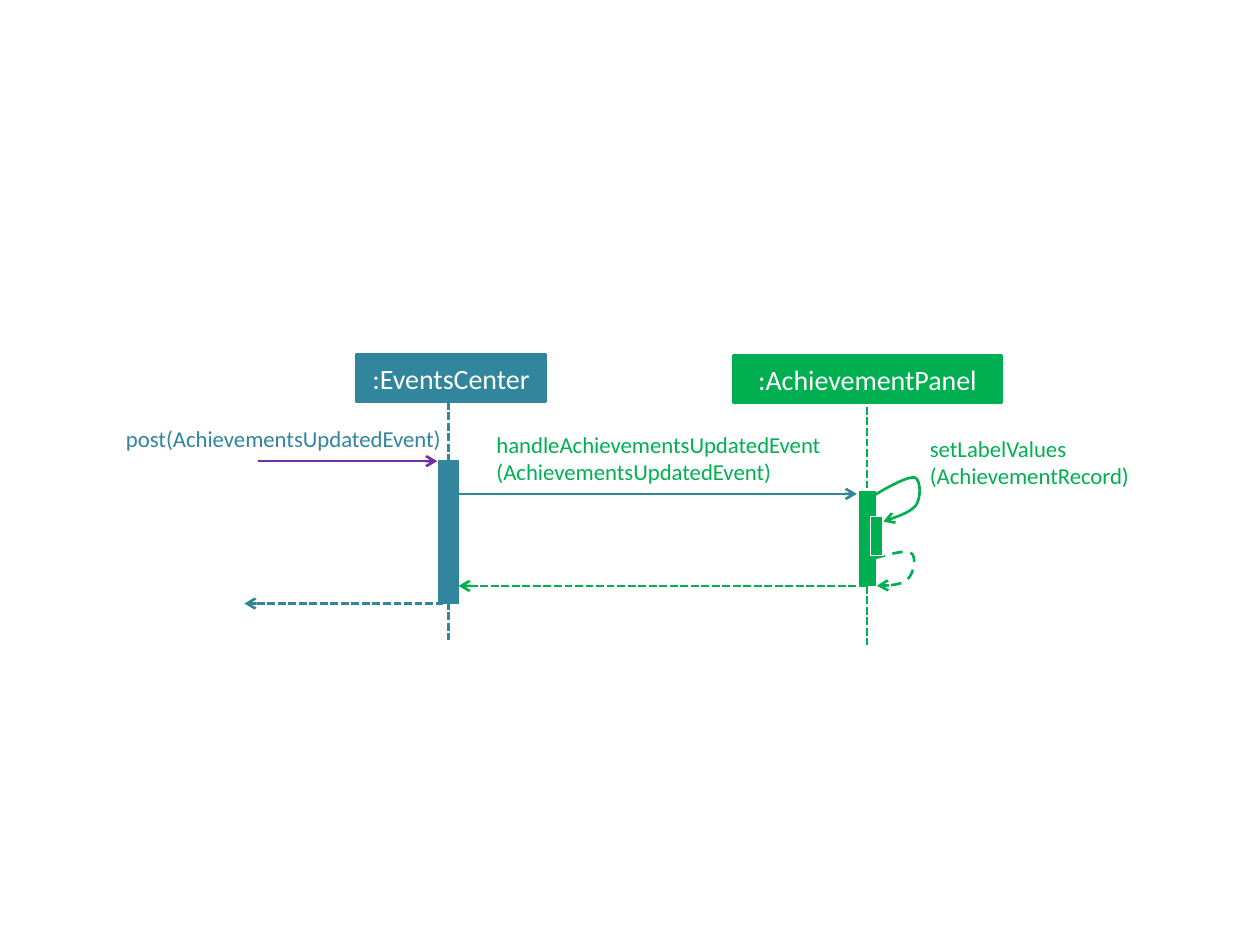
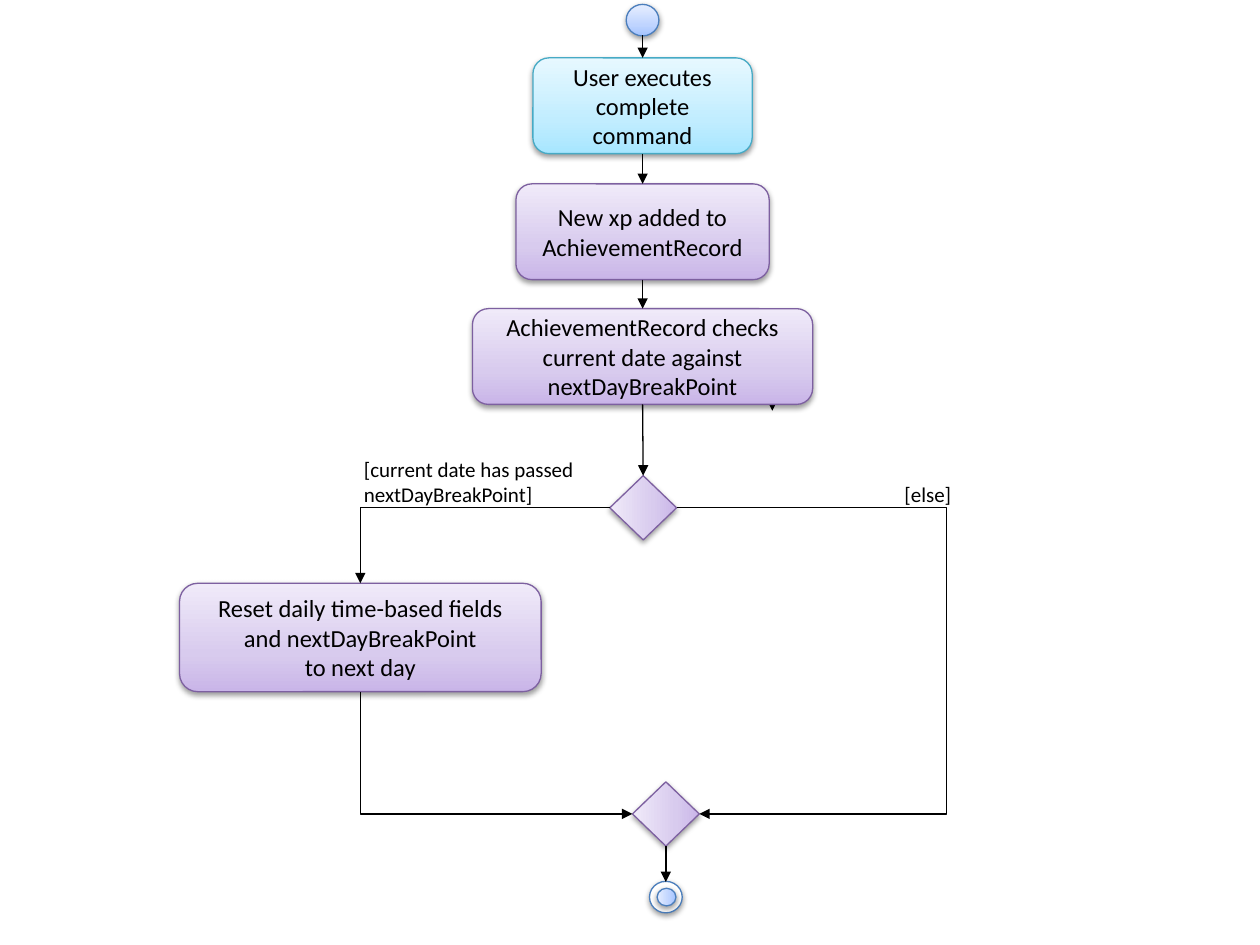
from lxml.etree import SubElement
from pptx import Presentation
from pptx.dml.color import RGBColor
from pptx.enum.dml import MSO_LINE
from pptx.enum.shapes import MSO_CONNECTOR, MSO_SHAPE
from pptx.enum.text import MSO_ANCHOR, PP_ALIGN
from pptx.oxml.ns import qn
from pptx.util import Inches, Pt

COLORS = {
    "black": "000000", "white": "FFFFFF",
    "center": "31859C", "panel": "00B050", "caller": "7030A0",
    "blue deep": "A4C4FF", "blue mid": "BFD4FF", "blue pale": "E6EEFF", "blue edge": "4B7EBC",
    "cyan deep": "A7E6FF", "cyan mid": "C1EDFF", "cyan pale": "E7F8FF", "cyan edge": "46AAC5",
    "violet deep": "C9B5E8", "violet mid": "D8CBEE", "violet pale": "F0EAF9", "violet edge": "7D60A0",
}
COLUMNS, ROWS = 100, 75
TOP, LEFT, BOTTOM, RIGHT = range(4)
UPWARD, LEFTWARD = 90, 180


def color(name):
    return RGBColor.from_string(COLORS[name])


class Diagram:
    """Draws on the current slide; lengths are columns and rows of a 100 x 75 grid."""

    font = "Calibri"

    def __init__(self):
        self.deck = Presentation()
        self.deck.slide_width, self.deck.slide_height = Inches(10), Inches(7.5)
        self.slide = None

    def new_slide(self):
        self.slide = self.deck.slides.add_slide(self.deck.slide_layouts[6])

    def emu(self, *lengths):
        """Turn alternating columns and rows into slide units."""
        units = (self.deck.slide_width / COLUMNS, self.deck.slide_height / ROWS)
        return [round(length * units[i % 2]) for i, length in enumerate(lengths)]

    def set_text(self, shape, lines, size, ink, align):
        frame = shape.text_frame
        frame.word_wrap = True
        frame.text = "\n".join(lines)
        for paragraph in frame.paragraphs:
            paragraph.alignment = align
            paragraph.font.name, paragraph.font.size = self.font, Pt(size)
            paragraph.font.color.rgb = color(ink)

    def stroke(self, line, ink, width, dash=None, arrow=None):
        line.color.rgb, line.width = color(ink), Pt(width)
        if dash:
            line.dash_style = dash
        if arrow:
            SubElement(line._get_or_add_ln(), qn("a:tailEnd"), type=arrow)

    def label(self, box, lines, size, ink, inset=None):
        label = self.slide.shapes.add_textbox(*self.emu(*box))
        self.set_text(label, lines, size, ink, PP_ALIGN.LEFT)
        if inset is not None:
            frame = label.text_frame
            frame.margin_left = frame.margin_right = inset
            frame.margin_top = frame.margin_bottom = inset

    def block(self, box, fill, edge=None, width=0.75, text=None, size=16, ink="white",
              kind=MSO_SHAPE.RECTANGLE):
        block = self.slide.shapes.add_shape(kind, *self.emu(*box))
        block.shadow.inherit = False
        block.fill.solid()
        block.fill.fore_color.rgb = color(fill)
        self.stroke(block.line, edge or fill, width)
        if text:
            self.set_text(block, text, size, ink, PP_ALIGN.CENTER)
            block.text_frame.vertical_anchor = MSO_ANCHOR.MIDDLE
        return block

    def raised(self, kind, center, size, tint, text=None, angle=UPWARD, plain=False):
        """Place a shadowed activity node by its centre, with a gradient unless plain."""
        (x, y), (w, h) = center, size
        node = self.block((x - w / 2, y - h / 2, w, h), "white", f"{tint} edge",
                          text=text, size=14, ink="black", kind=kind)
        if not plain:
            node.fill.gradient()
            node.fill.gradient_angle = angle
            stops = node._element.spPr.find(qn("a:gradFill")).find(qn("a:gsLst"))
            stops.clear()
            for share, shade in ((0, "deep"), (35, "mid"), (100, "pale")):
                stop = SubElement(stops, qn("a:gs"), pos=str(share * 1000))
                SubElement(stop, qn("a:srgbClr"), val=COLORS[f"{tint} {shade}"])
        effects = node._element.spPr.find(qn("a:effectLst"))
        shadow = SubElement(effects, qn("a:outerShdw"), blurRad="40000", dist="20000",
                            dir="5400000", rotWithShape="0")
        shade = SubElement(shadow, qn("a:srgbClr"), val=COLORS["black"])
        SubElement(shade, qn("a:alpha"), val="38000")
        return node

    def connect(self, start, end, ink="black", width=0.75, dash=None, arrow="triangle",
                kind=MSO_CONNECTOR.STRAIGHT):
        """Link two ends, each a (column, row) point or a (shape, side) joint."""
        link = self.slide.shapes.add_connector(kind, 0, 0, 0, 0)
        if isinstance(start[0], (int, float)):
            link.begin_x, link.begin_y = self.emu(*start)
        else:
            link.begin_connect(*start)
        if isinstance(end[0], (int, float)):
            link.end_x, link.end_y = self.emu(*end)
        else:
            link.end_connect(*end)
        self.stroke(link.line, ink, width, dash, arrow)
        SubElement(link._element.spPr, qn("a:effectLst"))
        return link

    def corner(self, start, end, arrow="triangle"):
        """Link with one bend: across first, then up or down."""
        link = self.connect(start, end, arrow=arrow, kind=MSO_CONNECTOR.ELBOW)
        link._element.spPr.find(qn("a:prstGeom")).set("prst", "bentConnector2")
        return link

    def detour(self, start, end, reach):
        """Link with two bends; reach is the bend's distance in widths of the link."""
        link = self.connect(start, end, kind=MSO_CONNECTOR.ELBOW)
        geometry = link._element.spPr.find(qn("a:prstGeom"))
        guides = geometry.find(qn("a:avLst"))
        SubElement(guides, qn("a:gd"), name="adj1", fmla=f"val {round(reach * 100000)}")

    def self_call(self, start, curves, ink, dash=None, steps=10):
        """Draw an open arrow along cubic curves (two controls and an end each)."""
        points, origin = [], start
        for curve in curves:
            knots = (origin, *curve)
            for step in range(1, steps + 1):
                t = step / steps
                weights = ((1 - t) ** 3, 3 * t * (1 - t) ** 2, 3 * t * t * (1 - t), t ** 3)
                points.append(self.emu(*(sum(w * knot[axis] for w, knot in zip(weights, knots))
                                         for axis in (0, 1))))
            origin = curve[-1]
        builder = self.slide.shapes.build_freeform(*self.emu(*start))
        builder.add_line_segments(points, close=False)
        loop = builder.convert_to_shape()
        loop.shadow.inherit = False
        loop.fill.background()
        self.stroke(loop.line, ink, 1.5, dash, "arrow")


def draw_update_sequence(diagram):
    diagram.new_slide()
    dashed = MSO_LINE.SQUARE_DOT
    participants = (
        (":AchievementPanel", "panel", (58.2, 28.2, 21.3, 3.8), (68.8, 32.3, 51.2),
         (68.2, 39, 1.3, 7.5)),
        (":EventsCenter", "center", (28.3, 28.1, 15, 3.8), (35.6, 31.9, 50.8),
         (34.8, 36.6, 1.6, 11.3)),
    )
    for name, ink, head, (x, top, bottom), activation in participants:
        diagram.block(head, ink, width=1.5, text=[name])
        diagram.connect((x, top), (x, bottom), ink, 1.5, dashed, arrow=None)
        diagram.block(activation, ink)

    messages = (
        (20.5, 34.7, 36.6, "caller", None),
        (36.4, 68, 39.2, "center", None),
        (68.8, 36.4, 46.5, "panel", dashed),
        (35.2, 19.4, 47.9, "center", dashed),
    )
    for start, end, row, ink, dash in messages:
        diagram.connect((start, row), (end, row), ink, 1.5, dash, "arrow")

    calls = (
        ((10, 33.7, 32.6, 2.2), "center", ["post(AchievementsUpdatedEvent)"]),
        ((39.4, 34.2, 33.3, 4.4), "panel",
         ["handleAchievementsUpdatedEvent", "(AchievementsUpdatedEvent)"]),
        ((73.8, 34.5, 17.9, 4.4), "panel", ["setLabelValues", "(AchievementRecord)"]),
    )
    for box, ink, lines in calls:
        diagram.label(box, lines, 13, ink, inset=0)

    diagram.self_call((69.4, 44.3), (
        ((70.6, 44), (71.9, 43.6), (72.3, 43.9)),
        ((72.8, 44.2), (72.5, 45.6), (72, 46)),
        ((71.6, 46.4), (70.6, 46.5), (69.6, 46.5))), "panel", MSO_LINE.DASH)
    diagram.self_call((69.4, 39.3), (
        ((70.7, 38.5), (72.1, 37.8), (72.6, 37.9)),
        ((73.1, 38.1), (73.1, 39.5), (72.7, 40.1)),
        ((72.2, 40.7), (71.2, 41), (70.1, 41.4))), "panel")
    diagram.block((69.1, 41, 1, 3.1), "panel", "white")


def draw_daily_reset_flow(diagram):
    diagram.new_slide()
    axis, end_axis = 51, 52.85
    rounded, diamond, circle = MSO_SHAPE.ROUNDED_RECTANGLE, MSO_SHAPE.DIAMOND, MSO_SHAPE.OVAL

    diagram.raised(circle, (axis, 1.6), (2.6, 2.5), "blue")
    diagram.corner((63.8, 27.5), (61.3, 32.6))
    execute = diagram.raised(rounded, (axis, 8.4), (17.4, 7.6), "cyan",
                             ["User executes complete command"])
    add_xp = diagram.raised(rounded, (axis, 18.4), (20.1, 7.6), "violet",
                            ["New xp added to AchievementRecord"])
    check = diagram.raised(rounded, (axis, 28.3), (27, 7.6), "violet",
                           ["AchievementRecord checks current date against nextDayBreakPoint"])
    reset = diagram.raised(rounded, (28.6, 50.6), (28.7, 8.6), "violet",
                           ["Reset daily time-based fields and nextDayBreakPoint",
                            "to next day"])
    decision, merge = (diagram.raised(diamond, center, (5.3, 5.1), "violet", angle=LEFTWARD)
                       for center in ((axis + 0.05, 40.3), (end_axis, 64.6)))
    diagram.raised(circle, (end_axis, 71.2), (2.6, 2.5), "blue", plain=True)
    diagram.raised(circle, (end_axis + 0.05, 71.2), (1.5, 1.4), "blue", angle=LEFTWARD)

    diagram.connect((axis, 2.8), (execute, TOP))
    for before, after in ((execute, add_xp), (add_xp, check), (check, decision)):
        diagram.connect((before, BOTTOM), (after, TOP))
    diagram.connect((merge, BOTTOM), (end_axis, 70))

    diagram.corner((decision, LEFT), (reset, TOP))
    to_merge = diagram.corner((merge, LEFT), (reset, BOTTOM), arrow=None)
    SubElement(to_merge.line._get_or_add_ln(), qn("a:headEnd"), type="triangle")
    diagram.detour((decision, RIGHT), (merge, RIGHT), 11.9)

    diagram.label((27.9, 35.7, 21.3, 4.9), ["[current date has passed nextDayBreakPoint]"],
                  12, "black")
    diagram.label((70.8, 37.7, 9.5, 2.9), ["[else]"], 12, "black")


def main():
    diagram = Diagram()
    draw_update_sequence(diagram)
    draw_daily_reset_flow(diagram)
    diagram.deck.save("out.pptx")


if __name__ == "__main__":
    main()
